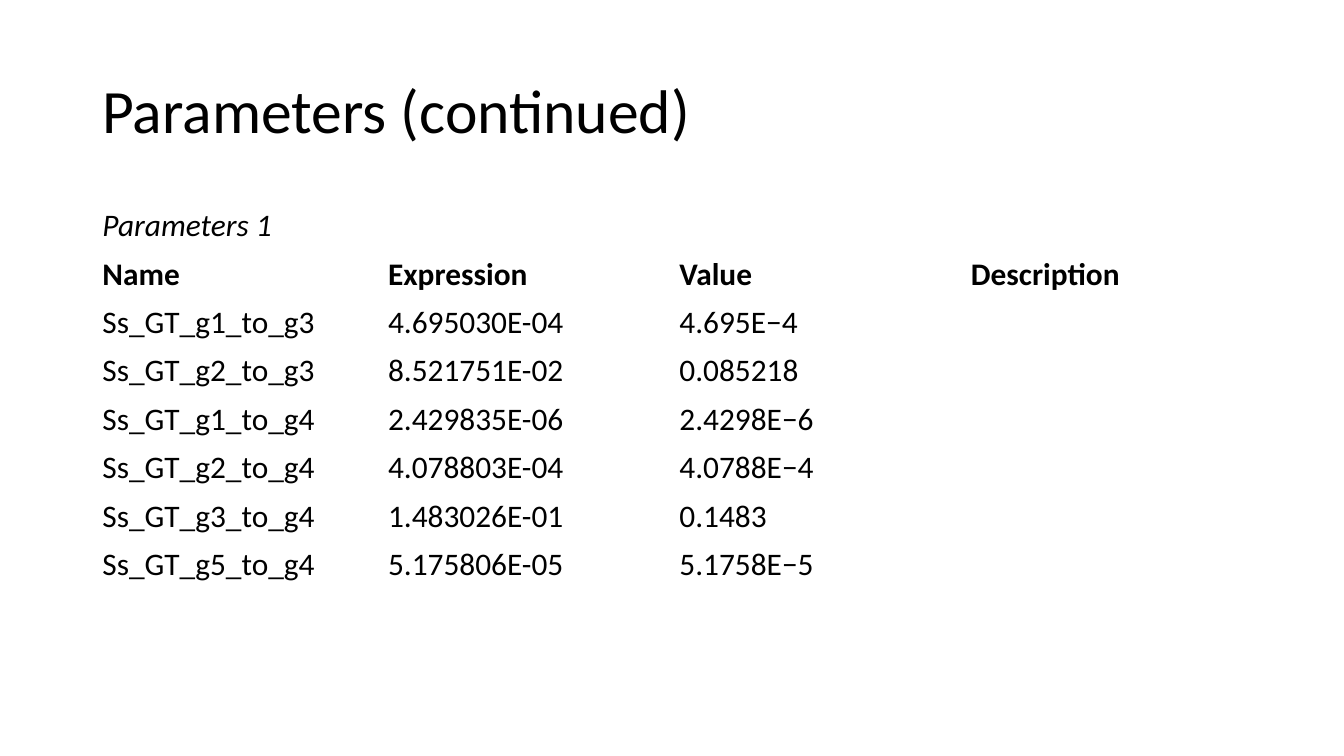
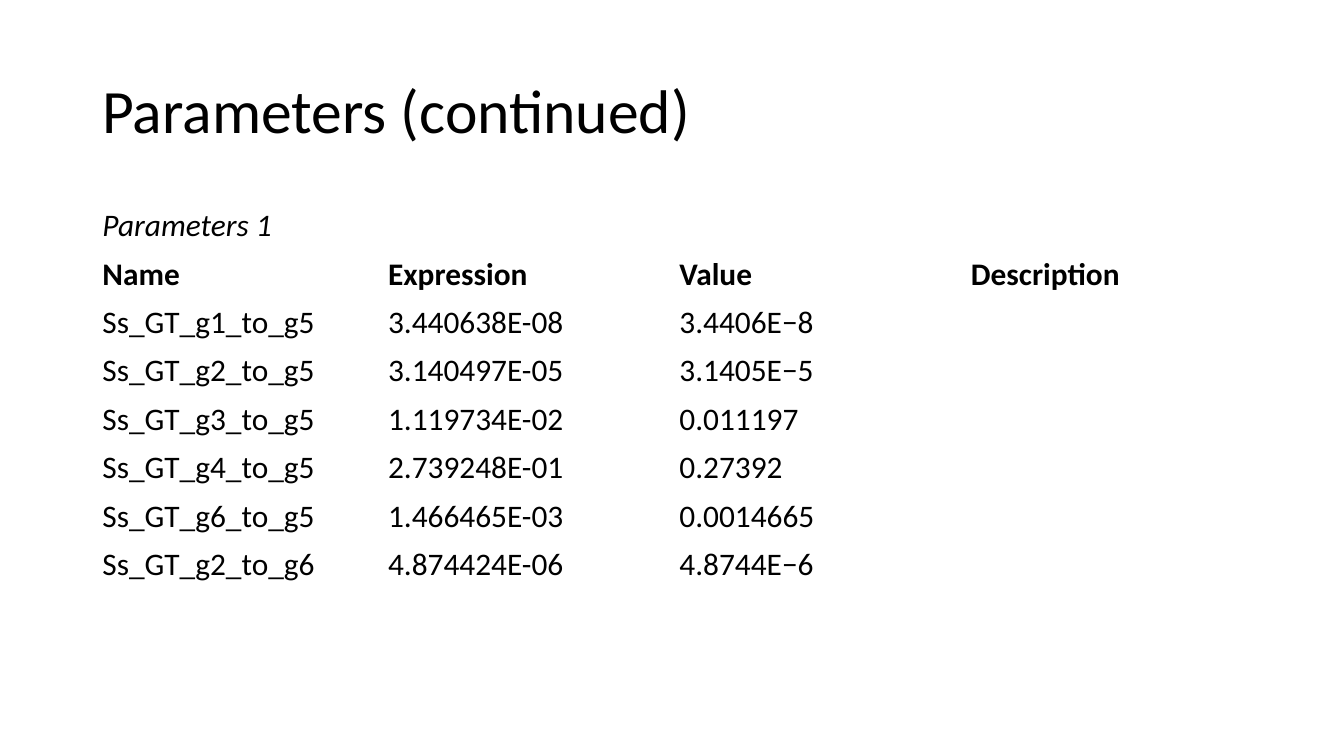
from dataclasses import dataclass

from pptx import Presentation
from pptx.dml.color import RGBColor
from pptx.enum.text import MSO_ANCHOR, PP_ALIGN
from pptx.util import Inches, Pt


@dataclass(frozen=True)
class Theme:
    font: str = "Calibri"
    ink: RGBColor = RGBColor(0, 0, 0)
    title: float = 44
    body: float = 22.4


THEME = Theme()

# The slide is a grid of 160 by 90 square units.
COLS, ROWS = 160, 90
LEFT = 11
TITLE_TOP, TITLE_WIDE, TITLE_HIGH = 4.8, 138, 17.4
TABLE_TOP, ROW_HIGH = 24, 5.75
WIDTHS = [34, 34.7, 34.7, 34.7]

TITLE = "Parameters (continued)"
GROUP = "Parameters 1"
HEADS = ["Name", "Expression", "Value", "Description"]
PAGES = [
    [
        ("Ss_GT_g1_to_g3", "4.695030E-04", "4.695E−4"),
        ("Ss_GT_g2_to_g3", "8.521751E-02", "0.085218"),
        ("Ss_GT_g1_to_g4", "2.429835E-06", "2.4298E−6"),
        ("Ss_GT_g2_to_g4", "4.078803E-04", "4.0788E−4"),
        ("Ss_GT_g3_to_g4", "1.483026E-01", "0.1483"),
        ("Ss_GT_g5_to_g4", "5.175806E-05", "5.1758E−5"),
    ],
    [
        ("Ss_GT_g1_to_g5", "3.440638E-08", "3.4406E−8"),
        ("Ss_GT_g2_to_g5", "3.140497E-05", "3.1405E−5"),
        ("Ss_GT_g3_to_g5", "1.119734E-02", "0.011197"),
        ("Ss_GT_g4_to_g5", "2.739248E-01", "0.27392"),
        ("Ss_GT_g6_to_g5", "1.466465E-03", "0.0014665"),
        ("Ss_GT_g2_to_g6", "4.874424E-06", "4.8744E−6"),
    ],
]


def grid(units):
    return Inches(units / 12)


def write(frame, text, size, bold=False, italic=False):
    frame.text = text
    line = frame.paragraphs[0]
    line.alignment = PP_ALIGN.LEFT
    font = line.font
    font.name, font.size, font.color.rgb = THEME.font, Pt(size), THEME.ink
    font.bold, font.italic = bold, italic
    return line


def add_title(slide, text):
    box = slide.shapes.title
    box.left, box.top = grid(LEFT), grid(TITLE_TOP)
    box.width, box.height = grid(TITLE_WIDE), grid(TITLE_HIGH)
    box.text_frame.vertical_anchor = MSO_ANCHOR.MIDDLE
    write(box.text_frame, text, THEME.title).line_spacing = 0.9


def add_params(slide, params):
    """Add a plain table: a group line, a line of heads, then the parameters."""
    lines = [[GROUP], HEADS, *params]
    frame = slide.shapes.add_table(
        len(lines), len(WIDTHS), grid(LEFT), grid(TABLE_TOP),
        grid(sum(WIDTHS)), grid(ROW_HIGH * len(lines)))
    table = frame.table
    table.first_row = table.horz_banding = False
    for col, wide in zip(table.columns, WIDTHS):
        col.width = grid(wide)
    for cell in table.iter_cells():
        cell.fill.background()
    for r, line in enumerate(lines):
        for c, text in enumerate(line):
            write(table.cell(r, c).text_frame, text, THEME.body,
                  bold=r == 1, italic=r == 0)
    table.cell(0, 0).merge(table.cell(0, len(WIDTHS) - 1))


def main():
    deck = Presentation()
    deck.slide_width, deck.slide_height = grid(COLS), grid(ROWS)
    layout = deck.slide_layouts.get_by_name("Title Only")
    for params in PAGES:
        slide = deck.slides.add_slide(layout)
        add_title(slide, TITLE)
        add_params(slide, params)
    deck.save("out.pptx")


if __name__ == "__main__":
    main()
